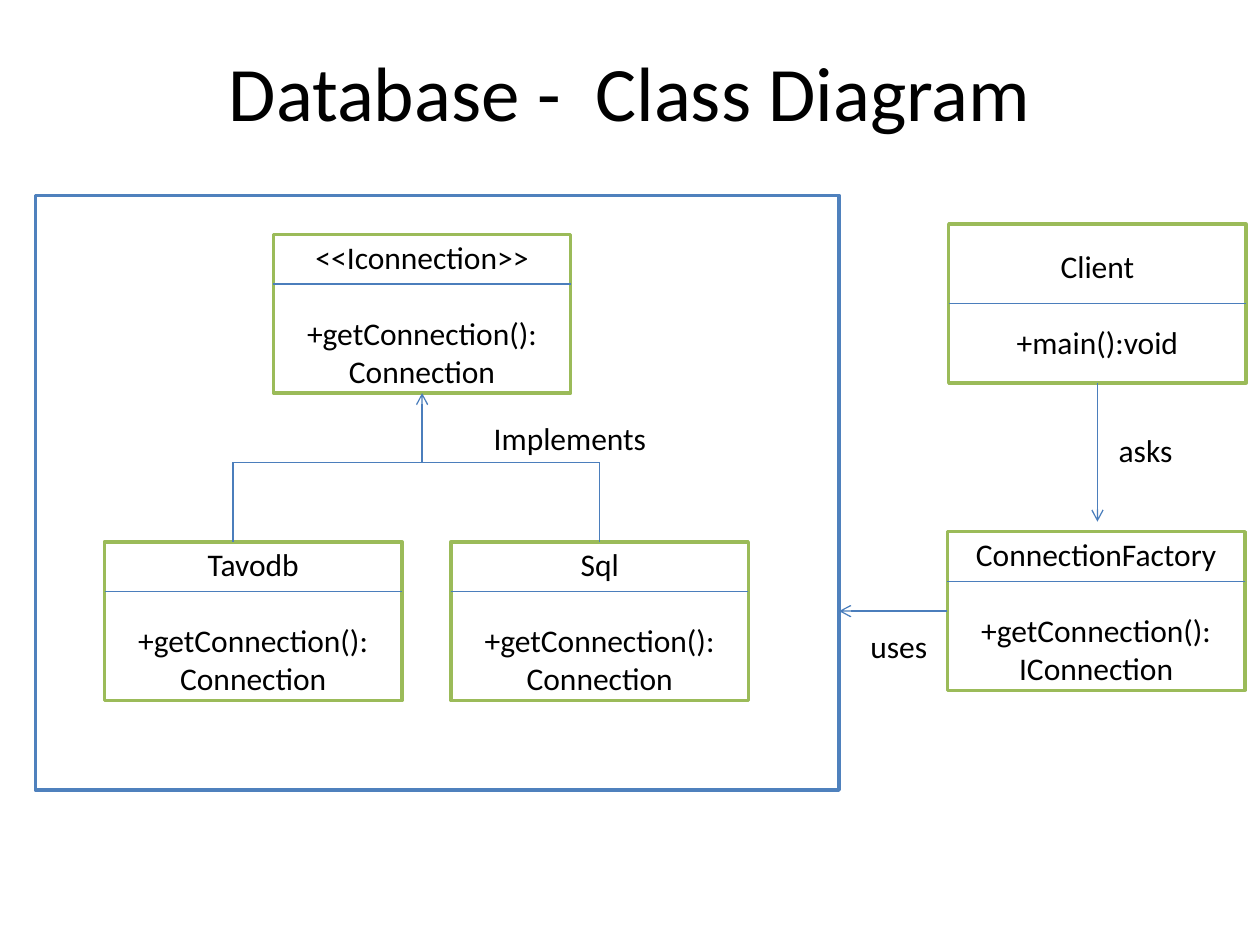
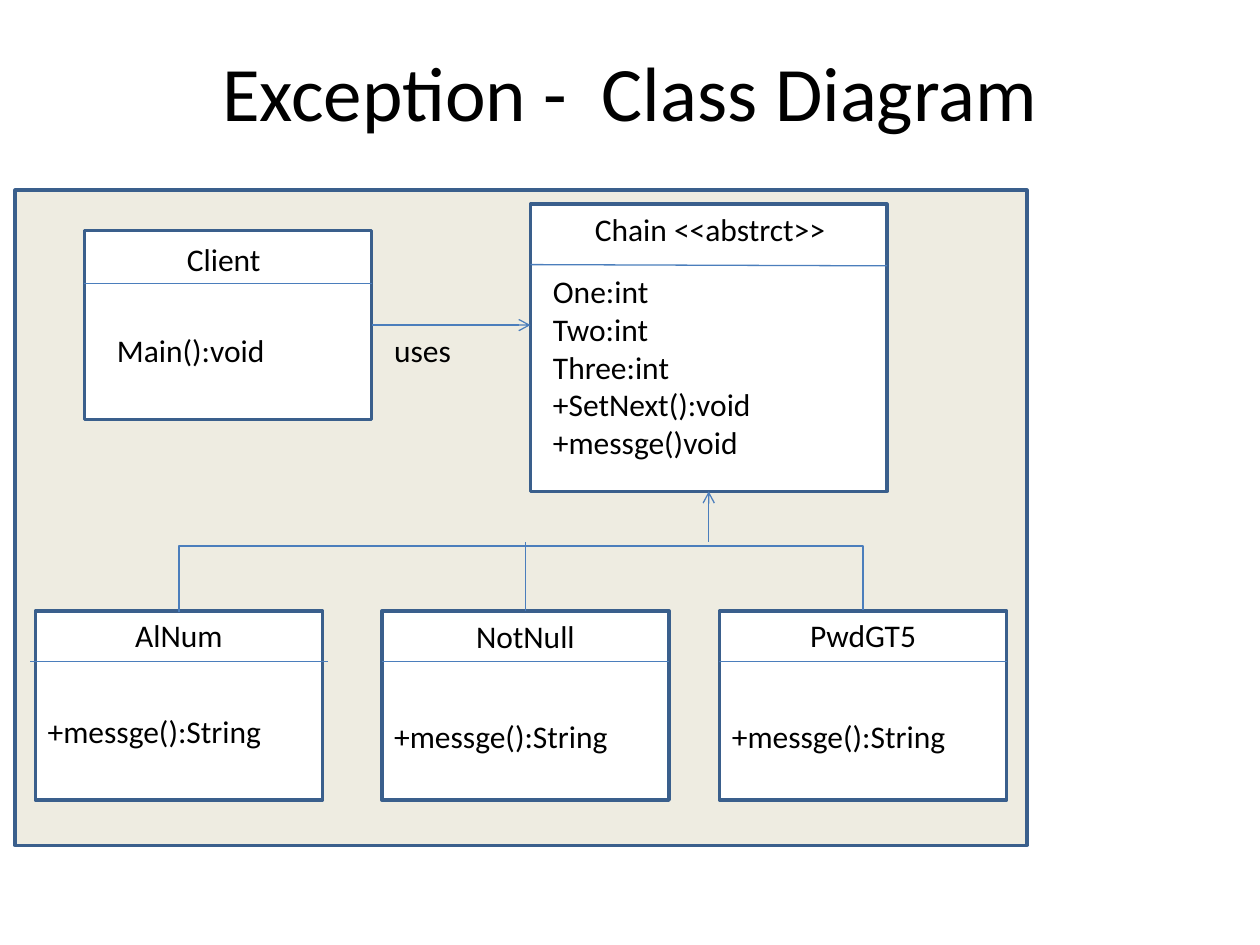
"""Build the database and exception class diagram slides."""
from dataclasses import dataclass
from typing import Optional

from lxml import etree
from pptx import Presentation
from pptx import util as u
from pptx.dml.color import RGBColor
from pptx.enum import shapes, text
from pptx.oxml import ns

WIDTH, HEIGHT = u.Inches(10), u.Inches(7.5)
COLUMNS, ROWS = 100, 75
FONT = "Calibri"
BODY_SIZE, TITLE_SIZE, BLANK_LINE = u.Pt(18), u.Pt(44), u.Pt(22)
BOX_LINE, THIN_LINE = u.Pt(2), u.Pt(0.75)
BLACK = RGBColor(0x00, 0x00, 0x00)
WHITE = RGBColor(0xFF, 0xFF, 0xFF)
BLUE = RGBColor(0x4F, 0x81, 0xBD)
LINK_BLUE = RGBColor(0x4B, 0x7E, 0xBC)
DARK_BLUE = RGBColor(0x3A, 0x5F, 0x8C)
GREEN = RGBColor(0x9B, 0xBB, 0x59)
TAN = RGBColor(0xEE, 0xEC, 0xE1)
LEFT, CENTER = text.PP_ALIGN.LEFT, text.PP_ALIGN.CENTER
TOP_SIDE, LEFT_SIDE, BOTTOM_SIDE, RIGHT_SIDE = range(4)


@dataclass(frozen=True)
class Area:
    """A rectangle in grid columns and rows."""
    left: float
    top: float
    width: float
    height: float

    @property
    def middle(self) -> float:
        return self.left + self.width / 2

    @property
    def right(self) -> float:
        return self.left + self.width

    @property
    def bottom(self) -> float:
        return self.top + self.height

    def emu(self) -> tuple:
        return col(self.left), row(self.top), col(self.width), row(self.height)


@dataclass(frozen=True)
class UmlClass:
    """A class with its name, members and the depth of its name row."""
    area: Area
    name: str
    members: tuple
    name_rows: float = 3.95


@dataclass(frozen=True)
class Label:
    """Free text on the grid."""
    area: Area
    lines: tuple
    align: text.PP_ALIGN = LEFT


@dataclass(frozen=True)
class Link:
    """A straight line, with optional shape sides to join."""
    start: tuple
    end: tuple
    arrow: bool = False
    source: Optional[tuple] = None
    target: Optional[tuple] = None


TITLE_AREA = Area(7.5, 1.1, 85, 12.2)


def col(columns: float) -> int:
    return round(WIDTH * columns / COLUMNS)


def row(rows: float) -> int:
    return round(HEIGHT * rows / ROWS)


def add_line(paragraph, wording: str, align, size=BODY_SIZE) -> None:
    paragraph.alignment = align
    run = paragraph.add_run()
    run.text = wording
    run.font.name, run.font.size = FONT, size
    run.font.color.rgb = BLACK


def add_lines(frame, lines: tuple, align) -> None:
    frame.word_wrap = True
    for index, wording in enumerate(lines):
        paragraph = frame.add_paragraph() if index else frame.paragraphs[0]
        add_line(paragraph, wording, align)


def add_titled_slide(deck, heading: str):
    slide = deck.slides.add_slide(deck.slide_layouts[5])
    title = slide.shapes.title
    title.left, title.top, title.width, title.height = TITLE_AREA.emu()
    title.text_frame.vertical_anchor = text.MSO_ANCHOR.MIDDLE
    add_line(title.text_frame.paragraphs[0], heading, CENTER, TITLE_SIZE)
    return slide


def add_box(slide, area: Area, border: RGBColor, fill: RGBColor = WHITE):
    box = slide.shapes.add_shape(shapes.MSO_SHAPE.RECTANGLE, *area.emu())
    box.shadow.inherit = False
    box.fill.solid()
    box.fill.fore_color.rgb = fill
    box.line.color.rgb = border
    box.line.width = BOX_LINE
    return box


def add_label(slide, label: Label) -> None:
    frame = slide.shapes.add_textbox(*label.area.emu()).text_frame
    add_lines(frame, label.lines, label.align)
    frame.auto_size = text.MSO_AUTO_SIZE.SHAPE_TO_FIT_TEXT


def add_connector(slide, start: tuple, end: tuple, kind=shapes.MSO_CONNECTOR.STRAIGHT):
    connector = slide.shapes.add_connector(
        kind, col(start[0]), row(start[1]), col(end[0]), row(end[1]))
    connector.line.color.rgb = LINK_BLUE
    connector.line.width = THIN_LINE
    etree.SubElement(connector._element.spPr, ns.qn("a:effectLst"))
    return connector


def add_link(slide, link: Link) -> None:
    connector = add_connector(slide, link.start, link.end)
    if link.source:
        connector.begin_connect(*link.source)
    if link.target:
        connector.end_connect(*link.target)
    if link.arrow:
        outline = connector.line._get_or_add_ln()
        etree.SubElement(outline, ns.qn("a:tailEnd"), type="arrow")


def add_bracket(slide, left: float, right: float, base: float, rise: float) -> None:
    """Draw an upright elbow as a quarter-turned thin connector."""
    thin, middle, half = 0.1, (left + right) / 2, (right - left) / 2
    bracket = add_connector(slide, (middle + thin / 2, base + half),
                            (middle - thin / 2, base - half), shapes.MSO_CONNECTOR.ELBOW)
    properties = bracket._element.spPr
    properties.find(ns.qn("a:xfrm")).set("rot", str(90 * 60000))
    geometry = properties.find(ns.qn("a:prstGeom"))
    guides = geometry.find(ns.qn("a:avLst"))
    if guides is None:
        guides = etree.SubElement(geometry, ns.qn("a:avLst"))
    etree.SubElement(guides, ns.qn("a:gd"), name="adj1",
                     fmla=f"val {round(rise / thin * 100000)}")


def add_uml_class(slide, uml: UmlClass):
    box = add_box(slide, uml.area, GREEN)
    box.text_frame.vertical_anchor = text.MSO_ANCHOR.MIDDLE
    add_lines(box.text_frame, (uml.name, *uml.members), CENTER)
    box.text_frame.paragraphs[1].space_before = BLANK_LINE
    divider = uml.area.top + uml.name_rows
    add_link(slide, Link((uml.area.left, divider), (uml.area.right, divider)))
    return box


def build_database(deck) -> None:
    slide = add_titled_slide(deck, "Database -  Class Diagram")
    package = Area(2.8, 15.5, 63.8, 47.2)
    add_box(slide, package, BLUE)

    def class_area(left: float, top: float) -> Area:
        return Area(left, top, 23.6, 12.6)

    getter = ("+getConnection():", "Connection")
    interface = UmlClass(class_area(21.7, 18.6), "<<Iconnection>>", getter)
    tavodb = UmlClass(class_area(8.3, 43), "Tavodb", getter)
    sql = UmlClass(class_area(35.8, 43), "Sql", getter)
    factory = UmlClass(class_area(75.2, 42.2), "ConnectionFactory",
                       ("+getConnection():", "IConnection"))
    client = UmlClass(class_area(75.3, 17.8), "Client", ("+main():void",), 6.3)
    interface_box, _, sql_box, factory_box, client_box = [
        add_uml_class(slide, uml) for uml in (interface, tavodb, sql, factory, client)]

    trunk, tavodb_branch = 36.7, 18.5
    sql_branch, root = sql.area.middle, interface.area.middle
    asks, uses = client.area.middle, factory.area.top + 6.3
    for link in (
        Link((tavodb_branch, trunk), (sql_branch, trunk)),
        Link((root, trunk), (root, interface.area.bottom), True,
             target=(interface_box, BOTTOM_SIDE)),
        Link((tavodb_branch, tavodb.area.top), (tavodb_branch, trunk)),
        Link((sql_branch, sql.area.top), (sql_branch, trunk), source=(sql_box, TOP_SIDE)),
        Link((asks, client.area.bottom), (asks, 41.4), True,
             source=(client_box, BOTTOM_SIDE)),
        Link((factory.area.left, uses), (package.right, uses), True,
             source=(factory_box, LEFT_SIDE)),
    ):
        add_link(slide, link)
    for label in (
        Label(Area(38.2, 32.8, 14.2, 4), ("Implements",)),
        Label(Area(87.8, 33.7, 11, 4), ("asks",)),
        Label(Area(68.1, 49.3, 7.4, 4), ("uses",)),
    ):
        add_label(slide, label)


def build_exception(deck) -> None:
    slide = add_titled_slide(deck, "Exception -  Class Diagram")
    add_box(slide, Area(1.2, 15.1, 80.3, 52), DARK_BLUE, TAN)

    def class_area(left: float, top: float) -> Area:
        return Area(left, top, 22.8, 15)

    chain, client = Area(42.1, 16.2, 28.3, 22.8), class_area(6.7, 18.3)
    alnum, notnull, pwd = [class_area(left, 48.5) for left in (2.8, 30.3, 57.1)]
    chain_box, client_box, _, notnull_box, _ = [
        add_box(slide, area, DARK_BLUE) for area in (chain, client, alnum, notnull, pwd)]

    add_bracket(slide, alnum.middle, pwd.middle, alnum.top, 5.3)
    call, trunk = client.top + client.height / 2, 43
    for link in (
        Link((chain.left, 21), (chain.right, 21.1)),
        Link((client.left, 22.5), (client.right, 22.5)),
        Link((alnum.left - 0.4, 52.5), (alnum.right + 0.4, 52.5)),
        Link((notnull.left, 52.5), (notnull.right, 52.5)),
        Link((pwd.left, 52.5), (pwd.right, 52.5)),
        Link((notnull.middle, notnull.top), (notnull.middle, trunk),
             source=(notnull_box, TOP_SIDE)),
        Link((chain.middle, trunk), (chain.middle, chain.bottom), True,
             target=(chain_box, BOTTOM_SIDE)),
        Link((client.right, call), (chain.left, call), True,
             source=(client_box, RIGHT_SIDE)),
    ):
        add_link(slide, link)

    for area, name, name_top, member_top in (
        (alnum, "AlNum", 48.4, 56), (notnull, "NotNull", 48.5, 56.4), (pwd, "PwdGT5", 48.4, 56.4),
    ):
        add_label(slide, Label(Area(area.left, name_top, area.width, 4), (name,), CENTER))
        add_label(slide, Label(Area(area.left, member_top, area.width, 4), ("+messge():String",)))
    for label in (
        Label(Area(46.1, 16.2, 20.5, 4), ("Chain <<abstrct>>",), CENTER),
        Label(Area(42.9, 21.1, 22, 16.2),
              ("One:int", "Two:int", "Three:int", "+SetNext():void", "+messge()void")),
        Label(Area(8.3, 18.6, 18.9, 4), ("Client",), CENTER),
        Label(Area(30.3, 25.8, 11, 4), ("uses",)),
        Label(Area(8.3, 25.8, 15, 4), ("Main():void",)),
    ):
        add_label(slide, label)


def main() -> None:
    deck = Presentation()
    deck.slide_width, deck.slide_height = WIDTH, HEIGHT
    build_database(deck)
    build_exception(deck)
    deck.save("out.pptx")


if __name__ == "__main__":
    main()
